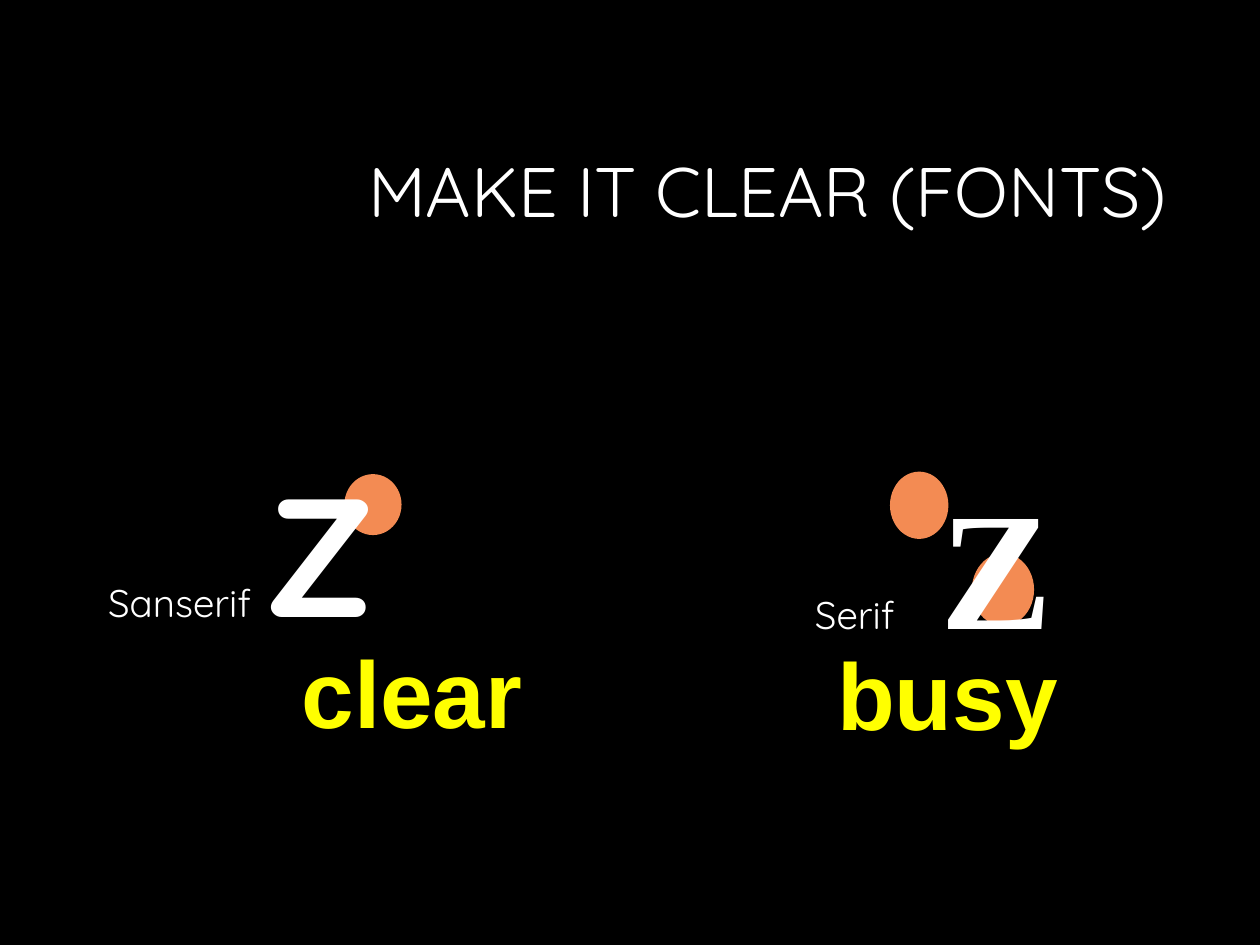
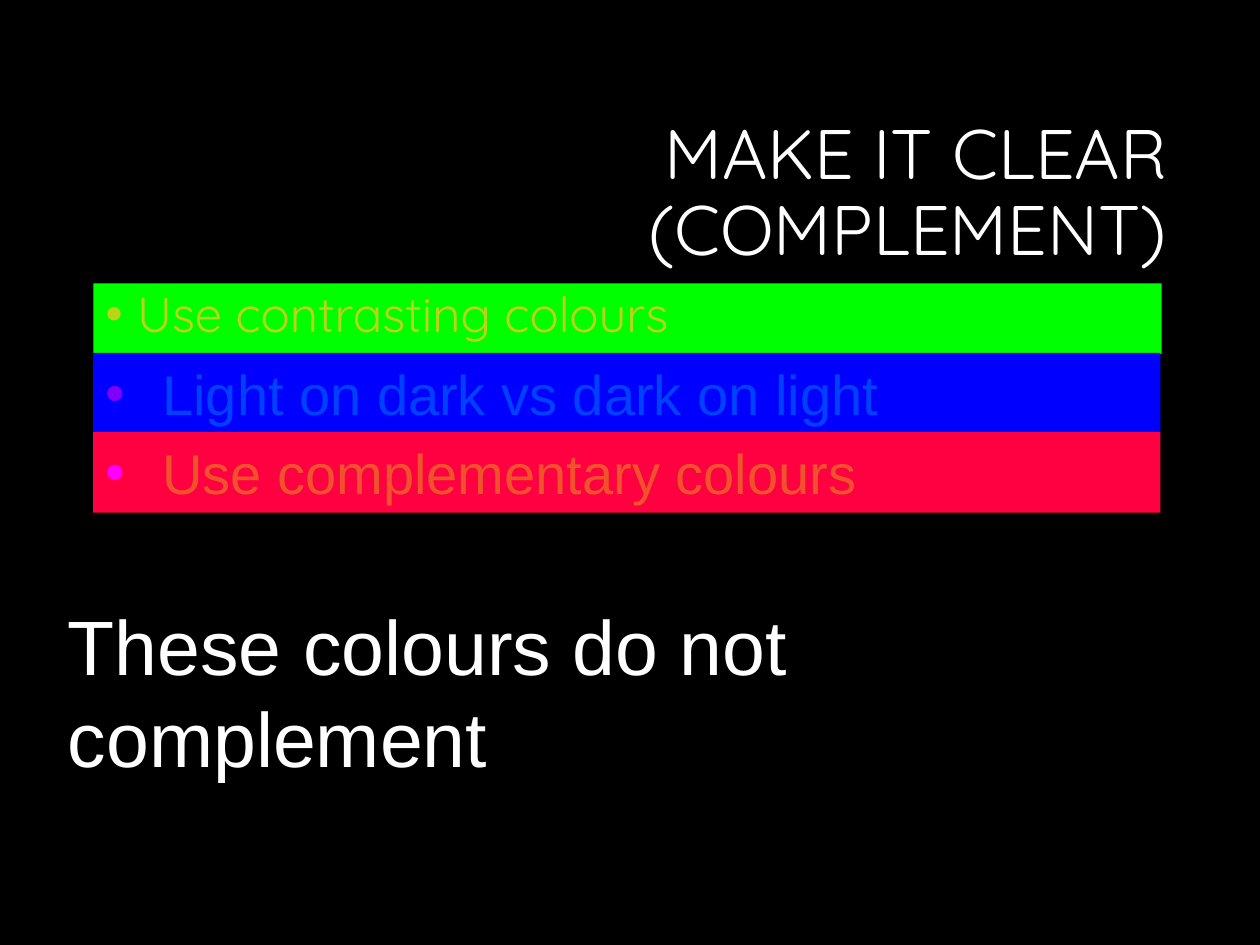
from dataclasses import dataclass

import pptx
import pptx.dml.color
import pptx.enum.shapes
import pptx.enum.text
import pptx.oxml.ns
import pptx.util
from lxml import etree
from pptx.util import Inches

RGBColor = pptx.dml.color.RGBColor
Align = pptx.enum.text.PP_ALIGN
Anchor = pptx.enum.text.MSO_ANCHOR
ShapeKind = pptx.enum.shapes.MSO_SHAPE

BLACK = RGBColor(0x00, 0x00, 0x00)
WHITE = RGBColor(0xFF, 0xFF, 0xFF)
YELLOW = RGBColor(0xFF, 0xFF, 0x00)
ORANGE = RGBColor(0xF3, 0x8B, 0x53)
GREEN = RGBColor(0x00, 0xFF, 0x00)
BLUE = RGBColor(0x00, 0x00, 0xFF)
RED = RGBColor(0xFF, 0x00, 0x40)
OLIVE = RGBColor(0xBA, 0xD4, 0x1A)
VIOLET = RGBColor(0x7F, 0x00, 0xFF)
AZURE = RGBColor(0x00, 0x40, 0xFF)
MAGENTA = RGBColor(0xFF, 0x00, 0xFF)
RUST = RGBColor(0xF0, 0x53, 0x2B)

THEME_FONT = "Quicksand"
PLAIN_FONT = "Arial"


@dataclass(frozen=True)
class Box:
    left: float
    top: float
    width: float
    height: float

    def lengths(self) -> tuple:
        return tuple(Inches(v) for v in (self.left, self.top, self.width, self.height))


@dataclass(frozen=True)
class Style:
    size: int
    font: str = THEME_FONT
    color: RGBColor = WHITE
    bold: bool = False


@dataclass(frozen=True)
class Sample:
    box: Box
    margin_top: float
    label: str
    letter_font: str


@dataclass(frozen=True)
class Bar:
    box: Box
    fill: RGBColor
    bullet: RGBColor
    text: str
    style: Style
    indent: float
    spacing: float
    anchor: Anchor


TITLE_BOX = Box(2.38, 0.84, 6.98, 1.41)
TITLE_STYLE = Style(40)
VERDICT_STYLE = Style(54, PLAIN_FONT, YELLOW, True)

DOTS = (
    Box(7.72, 4.4, 0.48, 0.56),
    Box(7.07, 3.75, 0.45, 0.52),
    Box(2.74, 3.77, 0.44, 0.47),
)
SAMPLES = (
    Sample(Box(0.76, 2.73, 4.28, 4.45), 0.84, "Sanserif\t", THEME_FONT),
    Sample(Box(6.12, 2.68, 4.17, 4.5), 0.98, "\tSerif\t", "Times New Roman"),
)
VERDICTS = (
    ("busy", Box(5.41, 5, 4.22, 1)),
    ("clear", Box(2.21, 4.98, 2.12, 1)),
)
BARS = (
    Bar(Box(0.74, 2.25, 8.48, 0.56), GREEN, OLIVE, "Use contrasting colours",
        Style(28, THEME_FONT, OLIVE), 0.25, 0.9, Anchor.TOP),
    Bar(Box(0.74, 2.8, 8.47, 0.64), BLUE, VIOLET, "Light on dark vs dark on light",
        Style(32, PLAIN_FONT, AZURE), 0.45, 1.0, Anchor.MIDDLE),
    Bar(Box(0.74, 3.43, 8.47, 0.64), RED, MAGENTA, "Use complementary colours",
        Style(32, PLAIN_FONT, RUST), 0.45, 1.0, Anchor.MIDDLE),
)


def format_run(r, style: Style) -> None:
    r.font.size = pptx.util.Pt(style.size)
    r.font.name = style.font
    r.font.bold = style.bold
    r.font.color.rgb = style.color


def add_element(parent, tag: str, **attributes: str):
    element = etree.SubElement(parent, pptx.oxml.ns.qn(tag))
    for name, value in attributes.items():
        element.set(name, value)
    return element


def hang(p, indent: float):
    properties = p._p.get_or_add_pPr()
    properties.set("marL", str(Inches(indent)))
    properties.set("indent", str(-Inches(indent)))
    return properties


def add_text(s, box: Box, text: str, style: Style, align: Align = Align.LEFT,
             anchor: Anchor = Anchor.TOP, spacing: float = 1.0, wrap: bool = True) -> None:
    tf = s.shapes.add_textbox(*box.lengths()).text_frame
    tf.word_wrap = wrap
    tf.vertical_anchor = anchor
    tf.text = text
    p = tf.paragraphs[0]
    p.alignment = align
    p.line_spacing = spacing
    format_run(p.runs[0], style)


def add_filled(s, kind: ShapeKind, box: Box, color: RGBColor):
    sp = s.shapes.add_shape(kind, *box.lengths())
    sp.shadow.inherit = False
    sp.fill.solid()
    sp.fill.fore_color.rgb = color
    sp.line.fill.background()
    return sp


def add_dot(s, box: Box) -> None:
    sp = add_filled(s, ShapeKind.OVAL, box, ORANGE)
    sp.line.color.rgb = ORANGE
    sp.line.width = pptx.util.Pt(1)


def add_sample(s, sample: Sample) -> None:
    tf = s.shapes.add_textbox(*sample.box.lengths()).text_frame
    tf.word_wrap = True
    tf.margin_top = Inches(sample.margin_top)
    p = tf.paragraphs[0]
    tabs = add_element(hang(p, 0.25), "a:tabLst")
    for inch in range(8):
        add_element(tabs, "a:tab", pos=str(Inches(inch)), algn="l")
    letter_style = Style(96, sample.letter_font, bold=True)
    for text, style in ((sample.label, Style(22)), ("Z", letter_style)):
        r = p.add_run()
        r.text = text
        format_run(r, style)


def add_bar(s, bar: Bar) -> None:
    tf = add_filled(s, ShapeKind.RECTANGLE, bar.box, bar.fill).text_frame
    tf.word_wrap = True
    tf.vertical_anchor = bar.anchor
    tf.text = bar.text
    p = tf.paragraphs[0]
    properties = hang(p, bar.indent)
    color = add_element(properties, "a:buClr")
    add_element(color, "a:srgbClr", val=str(bar.bullet))
    add_element(properties, "a:buFont", typeface=PLAIN_FONT)
    add_element(properties, "a:buChar", char="•")
    p.alignment = Align.LEFT
    p.line_spacing = bar.spacing
    format_run(p.runs[0], bar.style)


def add_slide(prs):
    s = prs.slides.add_slide(prs.slide_layouts[6])
    s.background.fill.solid()
    s.background.fill.fore_color.rgb = BLACK
    return s


def add_title(s, text: str) -> None:
    add_text(s, TITLE_BOX, text, TITLE_STYLE, Align.RIGHT, Anchor.MIDDLE, 0.9)


def build_fonts_slide(prs) -> None:
    s = add_slide(prs)
    for dot in DOTS:
        add_dot(s, dot)
    add_title(s, "MAKE IT CLEAR (FONTS)")
    for sample in SAMPLES:
        add_sample(s, sample)
    for text, box in VERDICTS:
        add_text(s, box, text, VERDICT_STYLE, Align.CENTER)


def build_complement_slide(prs) -> None:
    s = add_slide(prs)
    add_title(s, "MAKE IT CLEAR (COMPLEMENT)")
    for bar in BARS:
        add_bar(s, bar)
    add_text(s, Box(0.44, 4.7, 9.41, 0.84), "These colours do not complement",
             Style(44, PLAIN_FONT), wrap=False)


def main() -> None:
    prs = pptx.Presentation()
    prs.slide_width = Inches(10)
    prs.slide_height = Inches(7.5)
    build_fonts_slide(prs)
    build_complement_slide(prs)
    prs.save("out.pptx")


if __name__ == "__main__":
    main()
